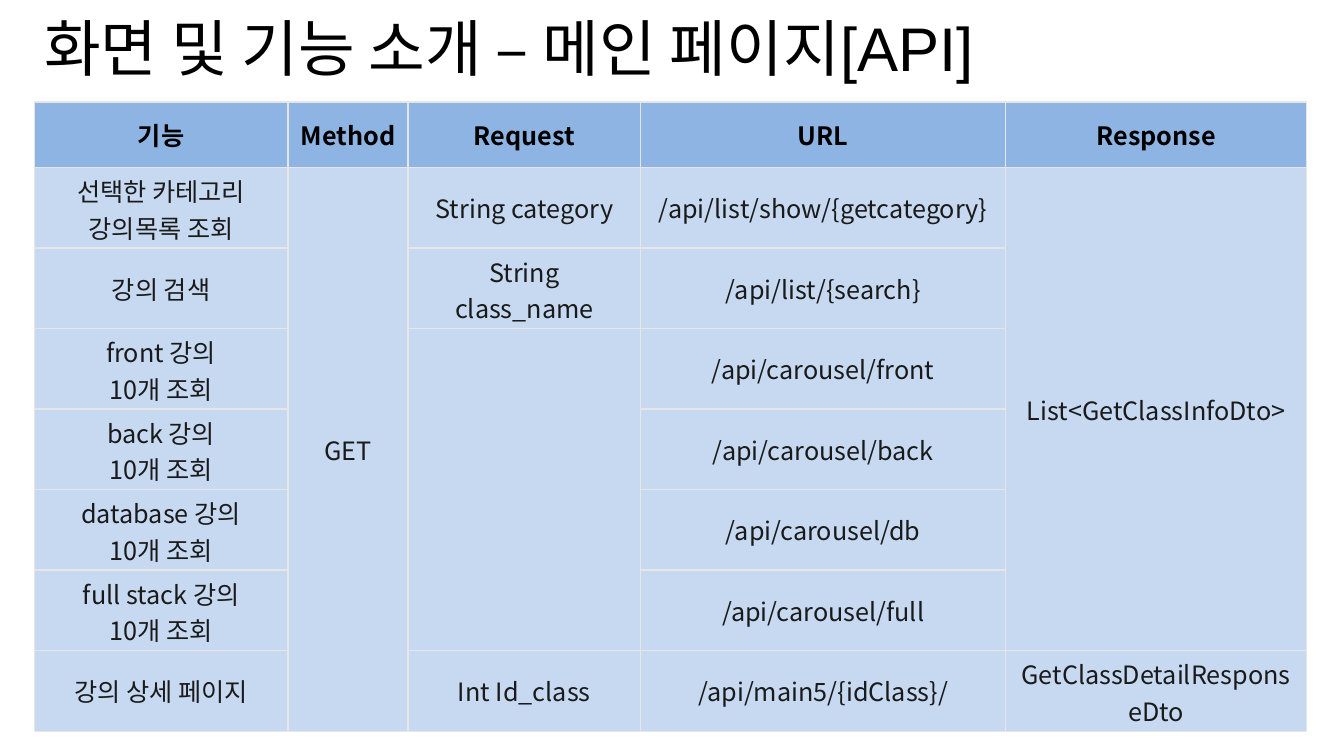
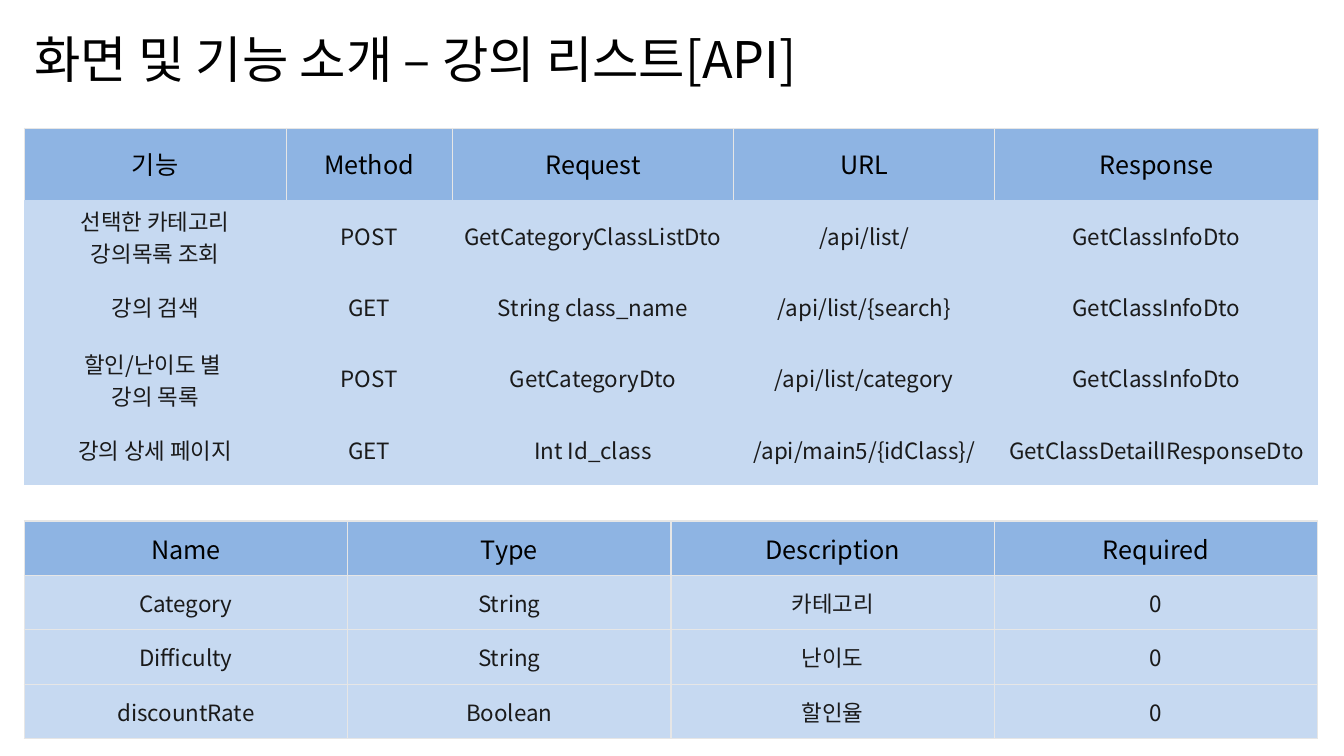
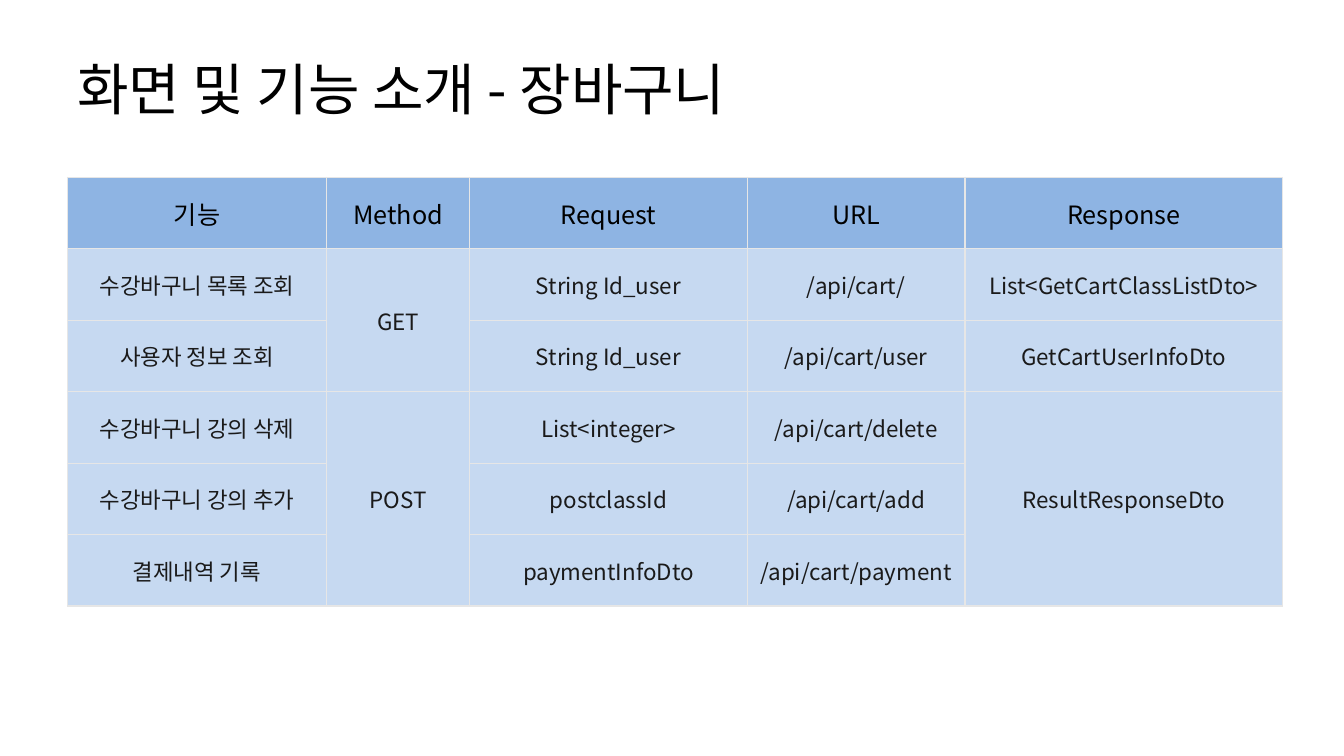
from lxml import etree
from pptx import Presentation
from pptx.dml.color import RGBColor
from pptx.enum.text import MSO_ANCHOR, PP_ALIGN
from pptx.oxml.ns import qn
from pptx.util import Cm, Pt

LEFT, CENTER = PP_ALIGN.LEFT, PP_ALIGN.CENTER
TOP, MIDDLE = MSO_ANCHOR.TOP, MSO_ANCHOR.MIDDLE
BLANK = 6
FONT = "Noto Sans CJK KR"
PLAIN = "{2D5ABB26-0587-4C30-8999-92F81FD0307C}"
COLORS = {
    "title": "000000",
    "body": "1A1A1A",
    "head": "8EB4E3",
    "row": "C6D9F1",
    "line": "E6E6E6",
}
API_HEAD = ["기능", "Method", "Request", "URL", "Response"]

# None continues the cell above it
MAIN_ROWS = [
    API_HEAD,
    ["선택한 카테고리\n강의목록 조회", "GET", "String category",
     "/api/list/show/{getcategory}", "List<GetClassInfoDto>"],
    ["강의 검색", None, "String class_name", "/api/list/{search}", None],
    ["front 강의\n10개 조회", None, "", "/api/carousel/front", None],
    ["back 강의\n10개 조회", None, None, "/api/carousel/back", None],
    ["database 강의\n10개 조회", None, None, "/api/carousel/db", None],
    ["full stack 강의\n10개 조회", None, None, "/api/carousel/full", None],
    ["강의 상세 페이지", None, "Int Id_class", "/api/main5/{idClass}/",
     "GetClassDetailResponseDto"],
]
LIST_ROWS = [
    API_HEAD,
    ["선택한 카테고리\n강의목록 조회", "POST", "GetCategoryClassListDto",
     "/api/list/", "GetClassInfoDto"],
    ["강의 검색", "GET", "String class_name", "/api/list/{search}",
     "GetClassInfoDto"],
    ["할인/난이도 별 \n강의 목록", "POST", "GetCategoryDto",
     "/api/list/category", "GetClassInfoDto"],
    ["강의 상세 페이지", "GET", "Int Id_class", "/api/main5/{idClass}/",
     "GetClassDetailIResponseDto"],
]
FIELD_ROWS = [
    ["Name", "Type", "Description", "Required"],
    ["Category", "String", "카테고리", "0"],
    ["Difficulty", "String", "난이도", "0"],
    ["discountRate", "Boolean", "할인율", "0"],
]
CART_ROWS = [
    API_HEAD,
    ["수강바구니 목록 조회", "GET", "String Id_user", "/api/cart/",
     "List<GetCartClassListDto>"],
    ["사용자 정보 조회", None, "String Id_user", "/api/cart/user",
     "GetCartUserInfoDto"],
    ["수강바구니 강의 삭제", "POST", "List<integer>", "/api/cart/delete",
     "ResultResponseDto"],
    ["수강바구니 강의 추가", None, "postclassId", "/api/cart/add", None],
    ["결제내역 기록", None, "paymentInfoDto", "/api/cart/payment", None],
]


def write(frame, text, size, color, font=FONT, bold=False, align=LEFT,
          gap=None):
    """Fill a text frame, one paragraph for each line of text."""
    for i, line in enumerate(text.split("\n")):
        para = frame.paragraphs[0] if i == 0 else frame.add_paragraph()
        para.alignment = align
        if gap:
            para.line_spacing = gap
        if not line:
            continue
        run = para.add_run()
        run.text = line
        run.font.size = Pt(size)
        run.font.bold = bold
        run.font.name = font
        run.font.color.rgb = RGBColor.from_string(COLORS[color])
        east = etree.SubElement(run.font._element, qn("a:ea"))
        east.set("typeface", FONT)


def add_title(slide, text, left, top, width, height, size, **style):
    box = slide.shapes.add_textbox(Cm(left), Cm(top), Cm(width), Cm(height))
    frame = box.text_frame
    frame.word_wrap = True
    frame.vertical_anchor = TOP
    write(frame, text, size, "title", **style)


def add_edges(cell, sides):
    props = cell._tc.get_or_add_tcPr()
    for side in sides:
        line = etree.SubElement(props, qn(f"a:ln{side}"), w=str(Pt(1)))
        fill = etree.SubElement(line, qn("a:solidFill"))
        etree.SubElement(fill, qn("a:srgbClr"), val=COLORS["line"])


def add_grid(slide, rows, left, top, widths, heights, size=16, bold=False,
             head_edges="LRTB", row_edges="LRTB"):
    shape = slide.shapes.add_table(
        len(rows), len(widths), Cm(left), Cm(top),
        Cm(sum(widths)), Cm(sum(heights)))
    table = shape.table
    table.horz_banding = False
    table._tbl.tblPr.find(qn("a:tableStyleId")).text = PLAIN
    for col, width in zip(table.columns, widths):
        col.width = Cm(width)
    for row, height in zip(table.rows, heights):
        row.height = Cm(height)
    for r, texts in enumerate(rows):
        head = r == 0
        for c, text in enumerate(texts):
            cell = table.cell(r, c)
            add_edges(cell, head_edges if head else row_edges)
            cell.fill.solid()
            cell.fill.fore_color.rgb = RGBColor.from_string(
                COLORS["head" if head else "row"])
            cell.vertical_anchor = MIDDLE
            if text is not None:
                write(cell.text_frame, text, 18 if head else size,
                      "title" if head else "body",
                      bold=head and bold, align=CENTER)
    for c in range(len(widths)):
        merge_down(table, [row[c] for row in rows], c)


def merge_down(table, texts, col):
    """Join each cell of a column with the None cells below it."""
    starts = [r for r, text in enumerate(texts) if text is not None]
    for start, end in zip(starts, starts[1:] + [len(texts)]):
        if end - start > 1:
            table.cell(start, col).merge(table.cell(end - 1, col))


def main():
    deck = Presentation()
    deck.slide_width, deck.slide_height = Cm(33.87), Cm(19.05)
    home, list_page, cart = [
        deck.slides.add_slide(deck.slide_layouts[BLANK]) for _ in range(3)]

    add_title(home, "화면 및 기능 소개 – 메인 페이지[API]",
              0.86, 0.48, 29.21, 2.77, 44, font="Arial", gap=0.8)
    add_grid(home, MAIN_ROWS, 0.86, 2.57, [6.4, 3.02, 5.87, 9.19, 7.59],
             [1.65] + [2.03] * 7, size=18, bold=True)

    add_title(list_page, "화면 및 기능 소개 – 강의 리스트[API]",
              0.61, 0.76, 27.81, 2.03, 36, gap=0.9)
    add_grid(list_page, LIST_ROWS, 0.61, 3.23, [6.6, 4.19, 7.09, 6.58, 8.15],
             [1.8] * 5, head_edges="LRT", row_edges="")
    add_grid(list_page, FIELD_ROWS, 0.61, 13.13, [8.15] * 4, [1.37] * 4)

    add_title(cart, "화면 및 기능 소개 - 장바구니",
              1.7, 1.57, 30.61, 1.85, 40, gap=0.8)
    add_grid(cart, CART_ROWS, 1.7, 4.47, [6.53, 3.61, 6.99, 5.49, 8],
             [1.8] * 6)

    deck.save("out.pptx")


if __name__ == "__main__":
    main()
